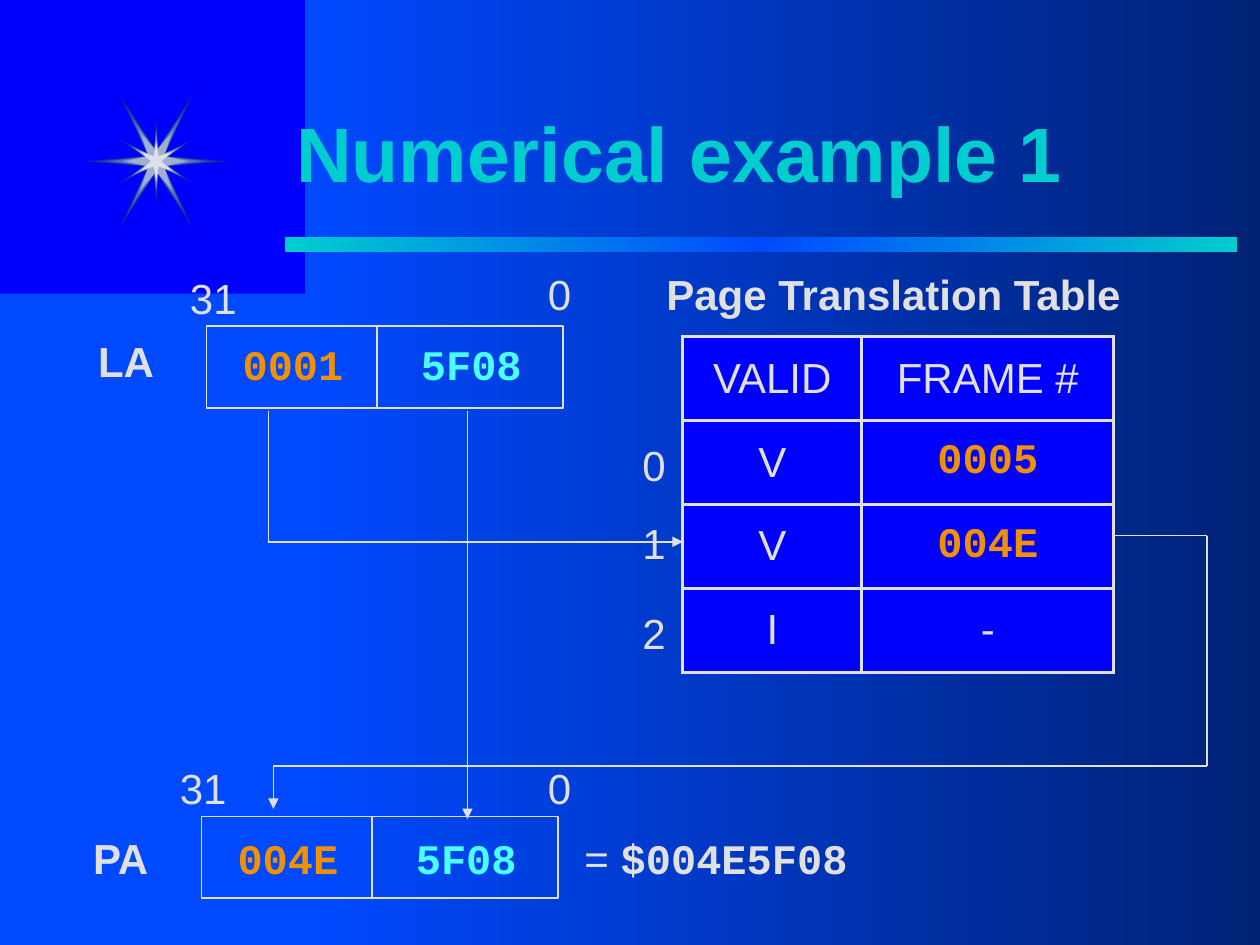
from dataclasses import dataclass
from itertools import pairwise

from lxml.etree import SubElement
from pptx import Presentation
from pptx.dml.color import RGBColor
from pptx.enum.shapes import MSO_CONNECTOR, MSO_SHAPE
from pptx.enum.text import MSO_ANCHOR, MSO_AUTO_SIZE, PP_ALIGN
from pptx.oxml import parse_xml
from pptx.oxml.ns import nsdecls, qn
from pptx.util import Inches, Pt


@dataclass(frozen=True)
class Theme:
    back: str = "0000FF"
    bright: str = "0049FF"
    deep: str = "002276"
    title: str = "00CECE"
    shadow: str = "001A66"
    ink: str = "E0E0E0"
    page: str = "EF9100"
    offset: str = "49FFFF"
    sans: str = "Arial"
    mono: str = "Courier New"
    title_size: int = 44
    size: int = 24
    thin: float = 1
    thick: float = 2


T = Theme()

# Half extent and colour of each star layer, from back to front
LONG, SHORT = "long", "short"
STAR_LAYERS = [
    (LONG, 0.58, "0B2B9E"), (SHORT, 0.34, "102FA1"), (LONG, 0.47, "2645AC"),
    (SHORT, 0.25, "4464B9"), (LONG, 0.38, "4464B9"), (SHORT, 0.23, "4E6EBC"),
    (LONG, 0.36, "4E6EBC"), (SHORT, 0.22, "5A79C0"), (SHORT, 0.2, "7992C6"),
    (LONG, 0.28, "7992C6"), (LONG, 0.24, "A0B0CE"), (SHORT, 0.16, "D9D9D9"),
    (SHORT, 0.14, "DCE0ED"),
]


def rgb(color):
    return RGBColor.from_string(color)


def box(slide, x, y, w, h, fill=None, line=None):
    sp = slide.shapes.add_shape(MSO_SHAPE.RECTANGLE, Inches(x), Inches(y), Inches(w), Inches(h))
    sp.shadow.inherit = False
    if fill:
        sp.fill.solid()
        sp.fill.fore_color.rgb = rgb(fill)
    else:
        sp.fill.background()
    if line:
        sp.line.color.rgb = rgb(line)
        sp.line.width = Pt(T.thin)
    else:
        sp.line.fill.background()
    return sp


def gradient(sp, colors):
    """Fill from left to right with evenly spaced colours."""
    sp.fill.gradient()
    sp.fill.gradient_angle = 0
    stops = sp._element.spPr.find(qn("a:gradFill")).find(qn("a:gsLst"))
    for stop in list(stops):
        stops.remove(stop)
    for i, color in enumerate(colors):
        stop = SubElement(stops, qn("a:gs"), pos=str(100000 * i // (len(colors) - 1)))
        SubElement(stop, qn("a:srgbClr"), val=color)


def add_run(p, text, color=T.ink, font=T.sans, bold=False, size=T.size):
    r = p.add_run()
    r.text = text
    r.font.size, r.font.name, r.font.bold = Pt(size), font, bold
    r.font.color.rgb = rgb(color)
    return r


def label(slide, x, y, w, text, wrap=False, align=PP_ALIGN.LEFT, **style):
    tf = slide.shapes.add_textbox(Inches(x), Inches(y), Inches(w), Inches(0.5)).text_frame
    tf.word_wrap = wrap
    p = tf.paragraphs[0]
    p.alignment = align
    if text:
        add_run(p, text, **style)
    return p


def route(slide, points, arrow=True):
    """Straight lines through the points, with an arrowhead at the last one."""
    for (x1, y1), (x2, y2) in pairwise(points):
        line = slide.shapes.add_connector(
            MSO_CONNECTOR.STRAIGHT, Inches(x1), Inches(y1), Inches(x2), Inches(y2))
        line.line.color.rgb = rgb(T.ink)
        line.line.width = Pt(T.thin)
        SubElement(line._element.spPr, qn("a:effectLst"))
    if arrow:
        SubElement(line.line._get_or_add_ln(), qn("a:tailEnd"), type="triangle")


def star_outline(kind, r):
    """Upper-right quarter, from the top to the right, mirrored to a full star."""
    if kind == LONG:
        quarter = [(0, -0.08), (0.5 * r, -0.91 * r), (0.06, -0.04), (r, 0)]
    else:
        quarter = [(0, -r), (0.02, -0.04), (0.84 * r, -0.5 * r), (0.04, 0)]
    right = quarter + [(x, -y) for x, y in quarter[-2::-1]]
    return right + [(-x, y) for x, y in right[-2:0:-1]]


def star(slide, cx, cy):
    for kind, r, color in STAR_LAYERS:
        points = [(Inches(cx + x), Inches(cy + y)) for x, y in star_outline(kind, r)]
        fb = slide.shapes.build_freeform(*points[0])
        fb.add_line_segments(points[1:], close=True)
        sp = fb.convert_to_shape()
        sp.shadow.inherit = False
        sp.fill.solid()
        sp.fill.fore_color.rgb = rgb(color)
        sp.line.fill.background()


def backdrop(slide, w, h):
    slide.background.fill.solid()
    slide.background.fill.fore_color.rgb = rgb(T.back)
    split, top = 2.42, 2.33
    box(slide, 0, top, split, h - top, fill=T.bright)
    gradient(box(slide, split, 0, w - split, h), [T.bright, T.deep])
    gradient(box(slide, 2.26, 1.88, 7.56, 0.12), [T.title, T.bright, T.title])
    star(slide, 1.24, 1.28)


def title(slide, x, y, w, h, text):
    sp = slide.shapes.title
    slide.shapes._spTree.append(sp._element)  # in front of the backdrop
    sp.left, sp.top, sp.width, sp.height = map(Inches, (x, y, w, h))
    tf = sp.text_frame
    tf.auto_size = MSO_AUTO_SIZE.NONE
    tf.vertical_anchor = MSO_ANCHOR.MIDDLE
    p = tf.paragraphs[0]
    p.alignment = PP_ALIGN.LEFT
    r = add_run(p, text, T.title, bold=True, size=T.title_size)
    r._r.rPr.find(qn("a:solidFill")).addnext(parse_xml(
        f'<a:effectLst {nsdecls("a")}><a:outerShdw dist="35921" dir="2700000">'
        f'<a:srgbClr val="{T.shadow}"/></a:outerShdw></a:effectLst>'))


def register(slide, x, y, name, page, offset, high_bit, low_bit, name_dy, text_dy):
    """Two-field address register; high_bit and low_bit place the bit numbers."""
    w, h, split = 2.83, 0.65, 1.35
    box(slide, x, y, w, h, line=T.ink)
    route(slide, [(x + split, y), (x + split, y + h)], arrow=False)
    label(slide, x - 0.96, y + name_dy, 0.65, name, bold=True)
    label(slide, *high_bit, 0.57, "31")
    label(slide, *low_bit, 0.38, "0")
    for left, width, text, color in ((x, split, page, T.page),
                                     (x + split, w - split, offset, T.offset)):
        label(slide, left + 0.01, y + text_dy, width, text, wrap=True,
              align=PP_ALIGN.CENTER, color=color, font=T.mono, bold=True)


def format_cell(cell, text, **style):
    cell.vertical_anchor = MSO_ANCHOR.MIDDLE
    cell.fill.solid()
    cell.fill.fore_color.rgb = rgb(T.back)
    tcPr = cell._tc.get_or_add_tcPr()
    for i, side in enumerate(("lnL", "lnR", "lnT", "lnB")):
        tcPr.insert(i, parse_xml(
            f'<a:{side} {nsdecls("a")} w="{Pt(T.thick)}"><a:solidFill>'
            f'<a:srgbClr val="{T.ink}"/></a:solidFill></a:{side}>'))
    p = cell.text_frame.paragraphs[0]
    p.alignment = PP_ALIGN.CENTER
    add_run(p, text, **style)


def page_table(slide, x, y, widths, row_h, rows):
    label(slide, x - 0.23, y - 0.59, 3.99, "Page Translation Table", wrap=True, bold=True)
    table = slide.shapes.add_table(len(rows), len(widths), Inches(x), Inches(y),
                                   Inches(sum(widths)), Inches(row_h * len(rows))).table
    table.first_row = table.horz_banding = False
    for col, w in zip(table.columns, widths):
        col.width = Inches(w)
    for i, row in enumerate(rows):
        table.rows[i].height = Inches(row_h)
        for j, text in enumerate(row):
            is_frame = text[:2] == "00"
            style = dict(color=T.page, font=T.mono, bold=True) if is_frame else {}
            format_cell(table.cell(i, j), text, **style)
    for i, dy in enumerate((0.77, 1.39, 2.1)):
        label(slide, x - 0.42, y + dy, 0.38, str(i))


def main():
    prs = Presentation()
    prs.slide_width, prs.slide_height = Inches(10), Inches(7.5)
    slide = prs.slides.add_slide(prs.slide_layouts[5])
    backdrop(slide, 10, 7.5)
    title(slide, 2.25, 0.58, 7.58, 1.25, "Numerical example 1")
    register(slide, 1.64, 2.59, "LA", "0001", "5F08", (1.41, 2.11), (4.25, 2.08), 0.02, 0.05)
    register(slide, 1.6, 6.48, "PA", "004E", "5F08", (1.33, 6), (4.25, 6), 0.08, 0.08)
    page_table(slide, 5.42, 2.67, (1.42, 2), 2 / 3,
               [("VALID", "FRAME #"), ("V", "0005"), ("V", "004E"), ("I", "-")])
    route(slide, [(2.13, 3.26), (2.13, 4.3), (5.42, 4.3)])
    route(slide, [(3.71, 3.26), (3.71, 6.5)])
    route(slide, [(8.83, 4.25), (9.58, 4.25), (9.58, 6.08), (2.17, 6.08), (2.17, 6.42)])
    p = label(slide, 4.54, 6.56, 2.57, "= ", wrap=True)
    add_run(p, "$004E5F08", font=T.mono, bold=True)
    prs.save("out.pptx")


if __name__ == "__main__":
    main()
